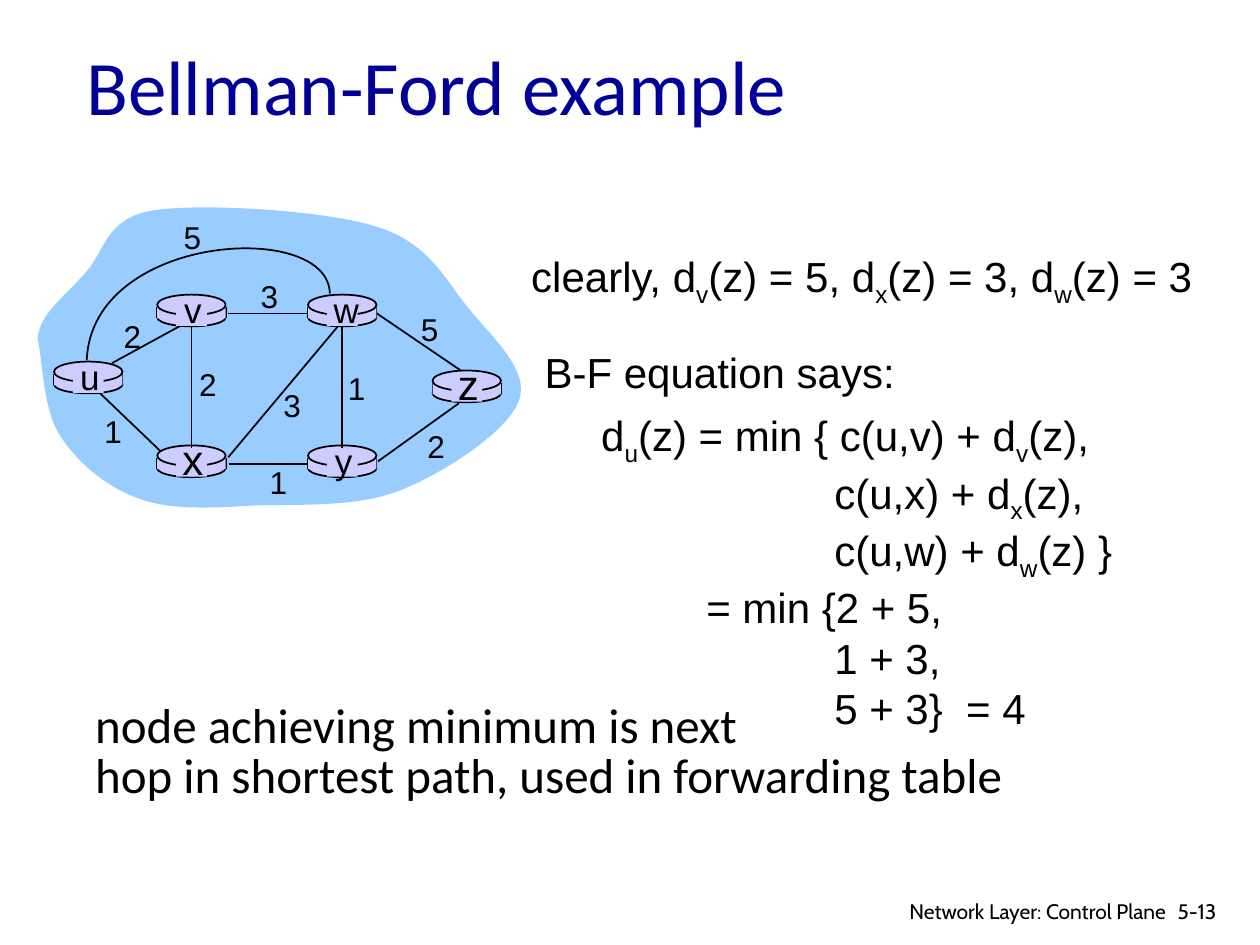
"""Build the Bellman-Ford example slide."""
from pptx import Presentation, util as u
from pptx.dml.color import RGBColor
from pptx.enum import shapes, text
from pptx.oxml import ns, xmlchemy

BLACK, LILAC, SKY, NAVY = "000000", "CCCCFF", "99CCFF", "000099"
ROUTER_WIDTH, PATCH_WIDTH = 1.38, 0.62
CLOUD = [
    (0.76, 6.83), (0.79, 6.32), (1.35, 5.94), (1.73, 5.49), (2.13, 5.05), (2.13, 4.39),
    (3.1, 4.24), (4.09, 4.09), (6.55, 4.24), (7.59, 4.57), (8.66, 4.9), (8.97, 5.64),
    (9.45, 6.22), (9.93, 6.81), (10.69, 7.47), (10.46, 8.08), (10.24, 8.69), (8.97, 9.53),
    (8.08, 9.88), (7.19, 10.24), (6.02, 10.16), (5.16, 10.19), (4.27, 10.24), (3.48, 10.29),
    (2.82, 10.06), (2.16, 9.83), (1.55, 9.32), (1.22, 8.79), (0.86, 8.26), (0.86, 7.24),
    (0.76, 6.83)]
LONG_EDGE = [(6.65, 5.92), (6.63, 4.42), (1.85, 4.7), (1.75, 7.26)]
ROUTERS = {"u": (1.09, 7.29, 20), "y": (6.21, 8.98, 20), "x": (3.17, 8.98, 24),
           "w": (6.21, 5.94, 20), "v": (3.17, 5.94, 20), "z": (8.72, 7.47, 24)}
EDGES = [((2.26, 7.32), (3.76, 6.5)), ((4.6, 9.22), (6.81, 6.58)),
         ((7.62, 9.3), (9.25, 8.13)), ((6.22, 9.36), (4.62, 9.36)),
         ((3.23, 9.09), (2.01, 7.92)), ((6.2, 6.32), (4.6, 6.32)),
         ((9.32, 7.49), (7.57, 6.3))]
VERTICAL_EDGES = [("v", "x"), ("w", "y")]
COSTS = [("2", 2.24, 6.27), ("2", 3.76, 7.24), ("1", 1.85, 8.18), ("3", 5.46, 7.65),
         ("1", 5.18, 9.21), ("1", 6.76, 7.32), ("2", 8.36, 8.48), ("5", 8.23, 6.12),
         ("3", 5.0, 5.46), ("5", 3.45, 4.27)]
EQUATION = [("d_u(z) = min { c(u,v) + d_v(z),", 0), ("c(u,x) + d_x(z),", 4.7),
            ("c(u,w) + d_w(z) }", 4.7), ("= min {2 + 5,", 2.12),
            ("1 + 3,", 4.7), ("5 + 3}  = 4", 4.7)]
CONCLUSION = [("node achieving minimum is next", 0),
              ("hop in shortest path, used in forwarding table", 0)]

presentation = Presentation()
presentation.slide_width, presentation.slide_height = u.Cm(25.4), u.Cm(19.05)
slide = presentation.slides.add_slide(presentation.slide_layouts[6])


def color(value):
    return RGBColor.from_string(value)


def paint(shape, fill=None, line=None):
    shape.shadow.inherit = False
    if fill:
        shape.fill.solid()
        shape.fill.fore_color.rgb = color(fill)
    else:
        shape.fill.background()
    if line:
        shape.line.color.rgb = color(line)
        shape.line.width = u.Pt(1)
    else:
        shape.line.fill.background()
    return shape


def add_preset(kind, box, fill, line=None):
    return paint(slide.shapes.add_shape(kind, *map(u.Cm, box)), fill, line)


def add_line(start, end):
    line = slide.shapes.add_connector(
        shapes.MSO_CONNECTOR.STRAIGHT, *map(u.Cm, (*start, *end)))
    line.line.color.rgb = color(BLACK)
    line.line.width = u.Pt(1)
    line._element.spPr.append(xmlchemy.OxmlElement("a:effectLst"))
    return line


def add_curve(points, close, **colors):
    start, *rest = [(u.Cm(x), u.Cm(y)) for x, y in points]
    builder = slide.shapes.build_freeform(*start)
    builder.add_line_segments(rest, close=close)
    shape = builder.convert_to_shape()
    segments = list(shape._element.iter(ns.qn("a:lnTo")))
    for first in range(0, len(segments), 3):
        bend = xmlchemy.OxmlElement("a:cubicBezTo")
        segments[first].addprevious(bend)
        for segment in segments[first:first + 3]:
            bend.append(segment[0])
            segment.getparent().remove(segment)
    return paint(shape, **colors)


def add_text(content, box, size=24, font="Arial", fill=BLACK, align="LEFT",
             anchor="TOP", wrap=False, spacing=None):
    frame = slide.shapes.add_textbox(*map(u.Cm, box)).text_frame
    frame.word_wrap = wrap
    frame.vertical_anchor = text.MSO_ANCHOR[anchor]
    rows = [(content, 0)] if isinstance(content, str) else content
    for index, (row, indent) in enumerate(rows):
        paragraph = frame.add_paragraph() if index else frame.paragraphs[0]
        paragraph.alignment = text.PP_ALIGN[align]
        paragraph.line_spacing = spacing
        if indent:
            paragraph._p.get_or_add_pPr().set("marL", str(u.Cm(indent)))
        plain, *marked = row.split("_")
        pieces = [(plain, False)]
        for part in marked:
            pieces += [(part[0], True), (part[1:], False)]
        for piece, subscript in pieces:
            run = paragraph.add_run()
            run.text = piece
            run.font.size, run.font.name = u.Pt(size), font
            run.font.color.rgb = color(fill)
            if subscript:
                run._r.find(ns.qn("a:rPr")).set("baseline", "-25000")


def add_router(x, y):
    oval, box = shapes.MSO_SHAPE.OVAL, shapes.MSO_SHAPE.RECTANGLE
    add_preset(oval, (x, y + 0.28, ROUTER_WIDTH, 0.36), LILAC, BLACK)
    for side in (x, x + ROUTER_WIDTH):
        add_line((side, y + 0.25), (side, y + 0.48))
    add_preset(box, (x, y + 0.25, ROUTER_WIDTH, 0.23), LILAC)
    add_preset(oval, (x, y, ROUTER_WIDTH, 0.41), LILAC, BLACK)
    left = x + (ROUTER_WIDTH - PATCH_WIDTH) / 2
    return add_preset(box, (left, y + 0.05, PATCH_WIDTH, 0.58), LILAC)


add_text("Bellman-Ford example", (1.49, 0.48, 21.59, 2.44), size=44, font="Calibri",
         fill=NAVY, anchor="MIDDLE", wrap=True)
add_curve(CLOUD, True, fill=SKY)
for start, end in EDGES:
    add_line(start, end)
add_curve(LONG_EDGE, False, line=BLACK)
patches = {name: add_router(x, y) for name, (x, y, size) in ROUTERS.items()}
for upper, lower in VERTICAL_EDGES:
    edge = add_line((0, 0), (1, 1))
    edge.begin_connect(patches[upper], 2)
    edge.end_connect(patches[lower], 0)
for name, (x, y, size) in ROUTERS.items():
    width, height = (0.91, 1.09) if size == 20 else (0.94, 1.32)
    left = x + 0.03 + (ROUTER_WIDTH - width) / 2
    add_text(name, (left, y + 0.3 - height / 2, width, height), size=size, align="CENTER")
for cost, x, y in COSTS:
    add_text(cost, (x, y, 0.86, 1.02), size=18, align="CENTER")

add_text("clearly, d_v(z) = 5, d_x(z) = 3, d_w(z) = 3", (10.46, 4.93, 14.02, 1.27))
add_text(EQUATION, (11.87, 8.14, 10.85, 6.35), wrap=True)
add_text(CONCLUSION, (1.67, 14.05, 18.8, 2.29), size=28, font="Calibri", spacing=0.85)
add_text("B-F equation says:", (10.73, 6.86, 7.57, 1.27))
add_text("5-13", (23.49, 17.98, 1.52, 0.76), size=12, font="Cabin", wrap=True)
add_text("Network Layer: Control Plane", (17.71, 17.98, 6.05, 0.66), size=12, font="Cabin",
         align="RIGHT", wrap=True)
presentation.save("out.pptx")
